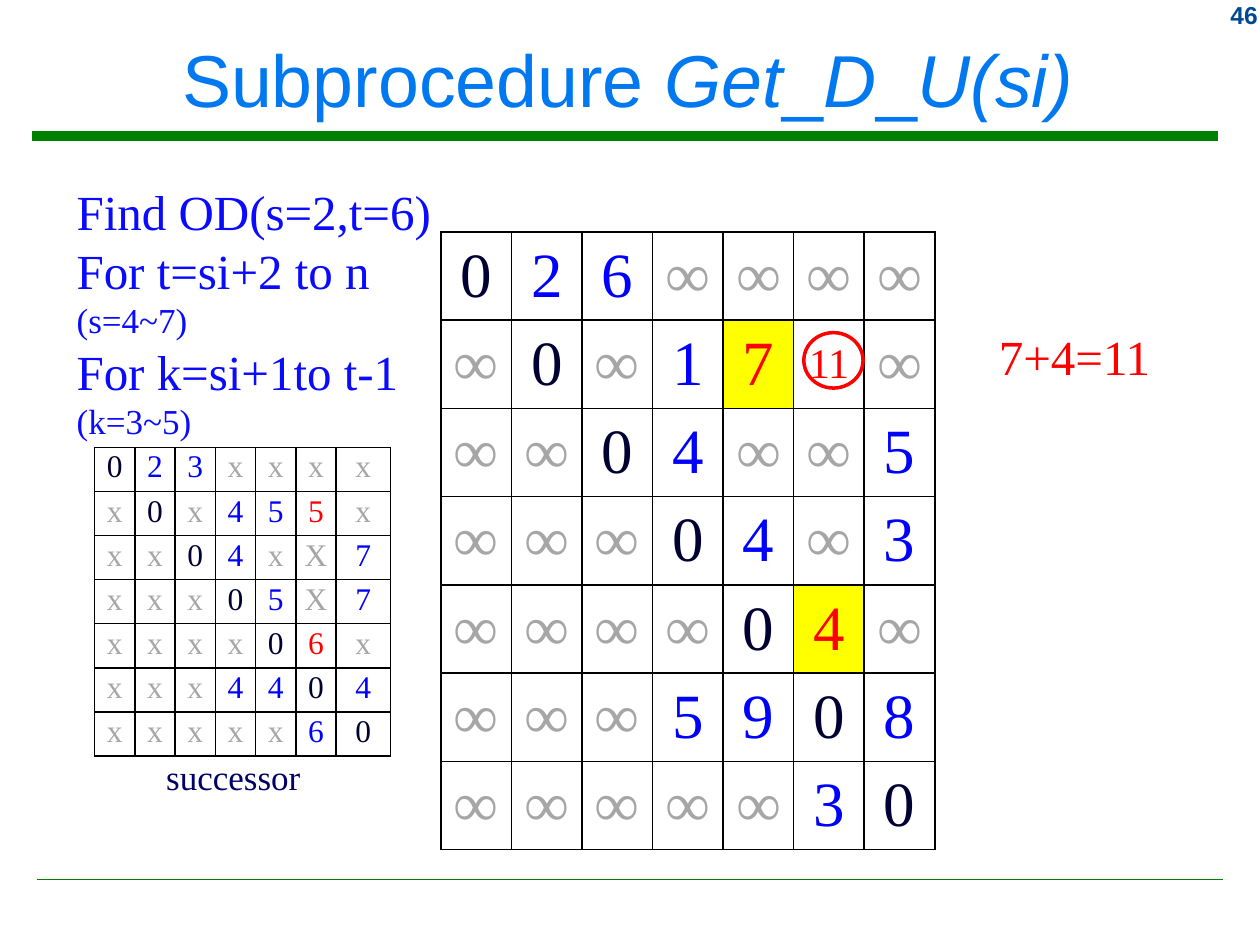
from dataclasses import dataclass

from lxml import etree
from pptx import Presentation
from pptx.dml.color import RGBColor
from pptx.enum.shapes import MSO_CONNECTOR, MSO_SHAPE
from pptx.enum.text import MSO_ANCHOR, PP_ALIGN
from pptx.oxml.ns import qn
from pptx.util import Inches, Pt

STRAIGHT = MSO_CONNECTOR.STRAIGHT
OVAL = MSO_SHAPE.OVAL
TOP, MIDDLE = MSO_ANCHOR.TOP, MSO_ANCHOR.MIDDLE
LEFT, CENTER, RIGHT = PP_ALIGN.LEFT, PP_ALIGN.CENTER, PP_ALIGN.RIGHT


@dataclass(frozen=True)
class Theme:
    sans: str = "Arial"
    serif: str = "Times New Roman"
    title: str = "0078F0"
    number: str = "004992"
    rule: str = "008000"
    steps: str = "0A0AFF"
    caption: str = "000066"
    diagonal: str = "000033"
    known: str = "0000FF"
    unreached: str = "A6A6A6"
    updated: str = "FF0000"
    highlight: str = "FFFF00"
    border: str = "000000"
    title_size: int = 42
    distance_size: int = 36
    step_size: int = 28
    circled_size: int = 24
    note_size: int = 20
    successor_size: int = 18
    number_size: int = 14


THEME = Theme()


@dataclass(frozen=True)
class Matrix:
    """A table of single values; positions are (row, column)."""
    left: float
    top: float
    columns: list[float]
    row_height: float
    rows: list[str]
    size: int
    updated: set[tuple[int, int]]
    highlighted: set[tuple[int, int]]
    anchor: MSO_ANCHOR
    margins: tuple[float, float]


DISTANCES = Matrix(
    3.5, 1.84, [0.56] * 7, 0.7,
    ["0 2 6 ∞ ∞ ∞ ∞",
     "∞ 0 ∞ 1 7 11 ∞",
     "∞ ∞ 0 4 ∞ ∞ 5",
     "∞ ∞ ∞ 0 4 ∞ 3",
     "∞ ∞ ∞ ∞ 0 4 ∞",
     "∞ ∞ ∞ 5 9 0 8",
     "∞ ∞ ∞ ∞ ∞ 3 0"],
    THEME.distance_size, {(1, 4), (1, 5), (4, 5)}, {(1, 4), (4, 5)},
    MIDDLE, (0.1, 0.05))

SUCCESSORS = Matrix(
    0.75, 3.55, [0.32] * 6 + [0.43], 0.35,
    ["0 2 3 x x x x",
     "x 0 x 4 5 5 x",
     "x x 0 4 x X 7",
     "x x x 0 5 X 7",
     "x x x x 0 6 x",
     "x x x 4 4 0 4",
     "x x x x x 6 0"],
    THEME.successor_size, {(1, 5), (4, 5)}, set(),
    TOP, (0.05, 0.02))


def rgb(color: str) -> RGBColor:
    return RGBColor.from_string(color)


def add_text(paragraph, text: str, *, size: float, color: str,
             font: str = THEME.serif, bold: bool = False,
             italic: bool = False, align: PP_ALIGN = LEFT) -> None:
    paragraph.alignment = align
    run = paragraph.add_run()
    run.text = text
    run.font.name = font
    run.font.size = Pt(size)
    run.font.bold = bold
    run.font.italic = italic
    run.font.color.rgb = rgb(color)


def add_box(slide, left: float, top: float, width: float, height: float,
            anchor: MSO_ANCHOR = TOP, wrap: bool = True):
    frame = slide.shapes.add_textbox(
        Inches(left), Inches(top), Inches(width), Inches(height)).text_frame
    frame.word_wrap = wrap
    frame.vertical_anchor = anchor
    return frame


def add_rule(slide, left: float, right: float, y: float, weight: float) -> None:
    rule = slide.shapes.add_connector(
        STRAIGHT, Inches(left), Inches(y), Inches(right), Inches(y))
    rule.line.color.rgb = rgb(THEME.rule)
    rule.line.width = Pt(weight)
    etree.SubElement(rule._element.spPr, qn("a:effectLst"))


def add_borders(cell) -> None:
    properties = cell._tc.get_or_add_tcPr()
    for side in ("lnL", "lnR", "lnT", "lnB"):
        edge = etree.SubElement(properties, qn(f"a:{side}"), w=str(Pt(1)))
        fill = etree.SubElement(edge, qn("a:solidFill"))
        etree.SubElement(fill, qn("a:srgbClr"), val=THEME.border)


def value_color(value: str, updated: bool) -> str:
    if updated:
        return THEME.updated
    if value in "∞xX":
        return THEME.unreached
    return THEME.diagonal if value == "0" else THEME.known


def add_matrix(slide, matrix: Matrix) -> None:
    count = len(matrix.rows)
    table = slide.shapes.add_table(
        count, len(matrix.columns), Inches(matrix.left), Inches(matrix.top),
        Inches(sum(matrix.columns)), Inches(matrix.row_height * count)).table
    table.first_row = table.horz_banding = False
    for column, width in zip(table.columns, matrix.columns):
        column.width = Inches(width)
    side, edge = map(Inches, matrix.margins)
    for r, row in enumerate(matrix.rows):
        table.rows[r].height = Inches(matrix.row_height)
        for c, value in enumerate(row.split()):
            cell = table.cell(r, c)
            cell.margin_left = cell.margin_right = side
            cell.margin_top = cell.margin_bottom = edge
            cell.vertical_anchor = matrix.anchor
            add_borders(cell)
            if (r, c) in matrix.highlighted:
                cell.fill.solid()
                cell.fill.fore_color.rgb = rgb(THEME.highlight)
            else:
                cell.fill.background()
            add_text(cell.text_frame.paragraphs[0], value, align=CENTER,
                     size=matrix.size if len(value) == 1 else THEME.circled_size,
                     color=value_color(value, (r, c) in matrix.updated))


def main() -> None:
    presentation = Presentation()
    presentation.slide_width, presentation.slide_height = Inches(10), Inches(7.5)
    slide = presentation.slides.add_slide(presentation.slide_layouts[6])

    # Rules and slide number
    add_rule(slide, 0.25, 9.67, 1.08, 5.25)
    add_rule(slide, 0.29, 9.71, 6.98, 1)
    number = add_box(slide, 9.17, -0.05, 0.91, 0.33)
    add_text(number.paragraphs[0], "46", size=THEME.number_size,
             color=THEME.number, font=THEME.sans, bold=True, align=RIGHT)

    # Title: the procedure name is italic, its underscores upright
    title = add_box(slide, 0.08, 0.09, 9.8, 1.06, MIDDLE)
    for part in ("Subprocedure ", "Get", "_", "D", "_", "U(si)"):
        add_text(title.paragraphs[0], part, size=THEME.title_size,
                 color=THEME.title, font=THEME.sans, align=CENTER,
                 italic=part not in ("Subprocedure ", "_"))

    # Distance matrix
    add_matrix(slide, DISTANCES)

    # Search steps
    steps = add_box(slide, 0.51, 1.39, 3.23, 2.66)
    for i, step in enumerate(("Find OD(s=2,t=6)", "For t=si+2 to n", "(s=4~7)",
                              "For k=si+1to t-1", "(k=3~5)")):
        paragraph = steps.add_paragraph() if i else steps.paragraphs[0]
        size = THEME.note_size if step.startswith("(") else THEME.step_size
        add_text(paragraph, step, size=size, color=THEME.steps)

    # Successor matrix and caption
    add_matrix(slide, SUCCESSORS)
    caption = add_box(slide, 1.22, 5.95, 1.28, 0.44, wrap=False)
    add_text(caption.paragraphs[0], "successor", size=THEME.note_size,
             color=THEME.caption)

    # New distance and its circled entry
    total = add_box(slide, 7.83, 2.54, 1.5, 0.57)
    add_text(total.paragraphs[0], "7+4=11", size=THEME.step_size,
             color=THEME.updated)
    circle = slide.shapes.add_shape(
        OVAL, Inches(6.38), Inches(2.64), Inches(0.47), Inches(0.44))
    circle.shadow.inherit = False
    circle.fill.background()
    circle.line.color.rgb = rgb(THEME.updated)
    circle.line.width = Pt(2)

    presentation.save("out.pptx")


if __name__ == "__main__":
    main()
